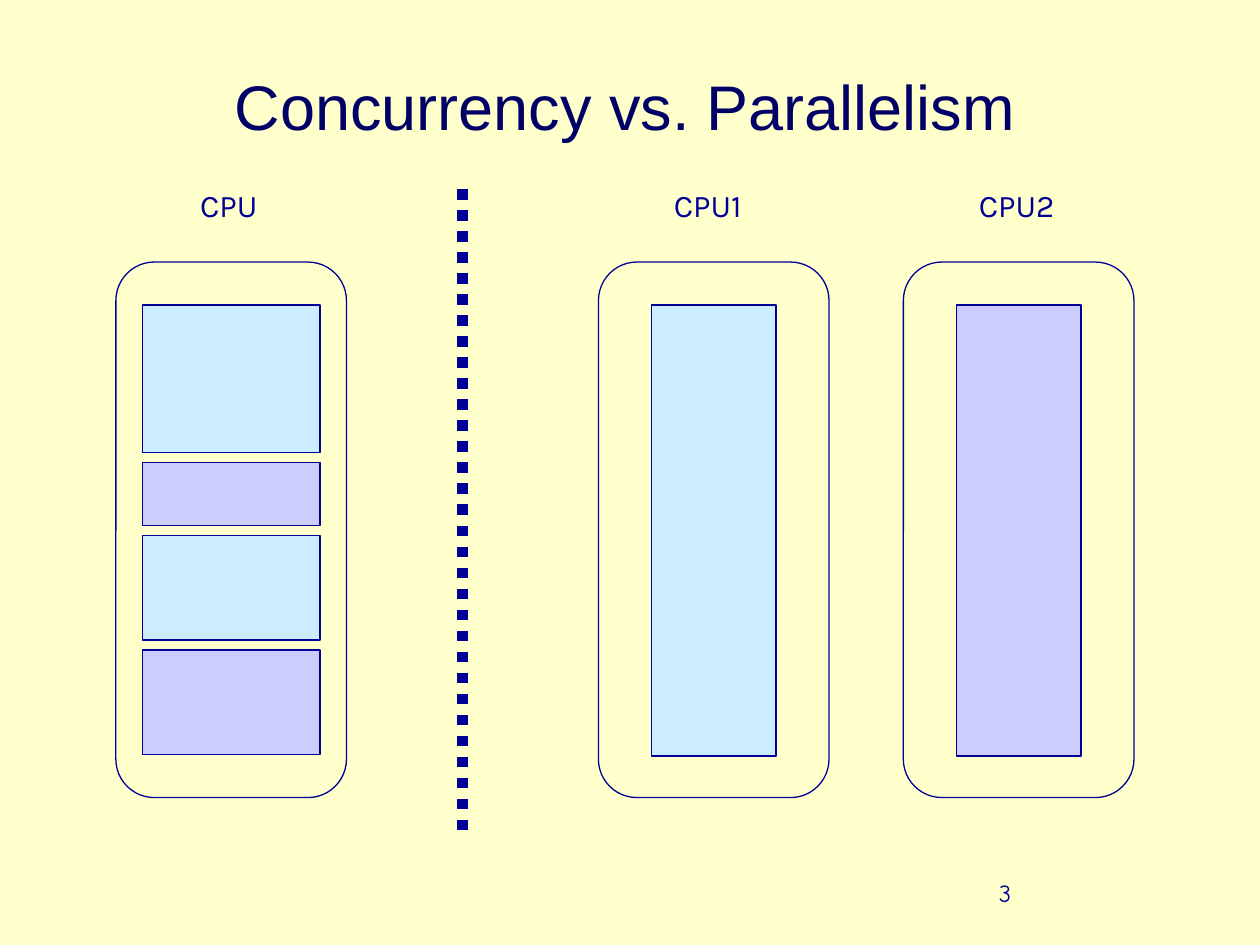
from lxml import etree
from pptx import Presentation
from pptx.dml.color import RGBColor
from pptx.enum.dml import MSO_LINE
from pptx.enum.shapes import MSO_CONNECTOR, MSO_SHAPE
from pptx.enum.text import MSO_ANCHOR, MSO_AUTO_SIZE, PP_ALIGN
from pptx.oxml.ns import qn
from pptx.util import Inches, Pt

RECT = MSO_SHAPE.RECTANGLE
ROUND = MSO_SHAPE.ROUNDED_RECTANGLE
STRAIGHT = MSO_CONNECTOR.STRAIGHT
DOT = MSO_LINE.ROUND_DOT
MIDDLE = MSO_ANCHOR.MIDDLE
CENTER = PP_ALIGN.CENTER
LEFT = PP_ALIGN.LEFT
FIXED = MSO_AUTO_SIZE.NONE
GROW = MSO_AUTO_SIZE.SHAPE_TO_FIT_TEXT

CREAM, NAVY, INK = "FFFFCC", "000066", "000099"
BLUE, LILAC = "CCECFF", "CCCCFF"
CORE_TOP, CORE_WIDTH, CORE_HEIGHT = 2.08, 1.83, 4.25
TASK_TOP, TASK_HEIGHT, TASK_GAP = 2.42, 3.58, 0.08


def color(code):
    return RGBColor.from_string(code)


class Deck:
    def __init__(self):
        self.file = Presentation()
        self.file.slide_width = Inches(10)
        self.file.slide_height = Inches(7.5)
        self.slide = self.file.slides.add_slide(self.file.slide_layouts[5])
        back = self.slide.background.fill
        back.solid()
        back.fore_color.rgb = color(CREAM)

    def style(self, frame, text, size, font, ink, align=LEFT):
        frame.text = text
        para = frame.paragraphs[0]
        para.alignment = align
        run = para.runs[0]
        run.font.size = Pt(size)
        run.font.name = font
        run.font.color.rgb = color(ink)

    def title(self, text, left, top, width, height):
        shape = self.slide.shapes.title
        shape.left, shape.top = Inches(left), Inches(top)
        shape.width, shape.height = Inches(width), Inches(height)
        frame = shape.text_frame
        self.style(frame, text, 36, "Arial", NAVY, CENTER)
        frame.paragraphs[0].line_spacing = 0.85
        frame.vertical_anchor = MIDDLE
        frame.auto_size = FIXED

    def label(self, text, left, top, width, height, size, font, wrap=False):
        box = self.slide.shapes.add_textbox(
            Inches(left), Inches(top), Inches(width), Inches(height))
        frame = box.text_frame
        frame.word_wrap = wrap
        frame.auto_size = FIXED if wrap else GROW
        self.style(frame, text, size, font, INK)

    def box(self, kind, left, top, width, height, fill):
        shape = self.slide.shapes.add_shape(
            kind, Inches(left), Inches(top), Inches(width), Inches(height))
        shape.shadow.inherit = False
        shape.fill.solid()
        shape.fill.fore_color.rgb = color(fill)
        shape.line.color.rgb = color(INK)
        shape.line.width = Pt(0.75)

    def core(self, name, left, text_left, text_width, inset, tasks):
        self.box(ROUND, left, CORE_TOP, CORE_WIDTH, CORE_HEIGHT, CREAM)
        top = TASK_TOP
        for height, fill in tasks:
            self.box(RECT, left + inset, top, CORE_WIDTH - 2 * inset, height, fill)
            top += height + TASK_GAP
        self.label(name, text_left, 1.43, text_width, 0.4, 18, "Karla")

    def divide(self, x, top, bottom):
        line = self.slide.shapes.add_connector(
            STRAIGHT, Inches(x), Inches(top), Inches(x), Inches(bottom))
        line.line.color.rgb = color(INK)
        line.line.width = Pt(6)
        line.line.dash_style = DOT
        etree.SubElement(line._element.spPr, qn("a:effectLst"))


def main():
    deck = Deck()
    deck.title("Concurrency vs. Parallelism", 1, 0.42, 7.92, 0.92)
    shared = [(1.17, BLUE), (0.5, LILAC), (0.83, BLUE), (0.83, LILAC)]
    deck.core("CPU", 0.92, 1.49, 0.69, 0.21, shared)
    deck.core("CPU1", 4.75, 5.25, 0.83, 0.42, [(TASK_HEIGHT, BLUE)])
    deck.core("CPU2", 7.17, 7.67, 0.83, 0.42, [(TASK_HEIGHT, LILAC)])
    deck.divide(3.67, 1.5, 6.67)
    deck.label("3", 7.83, 6.92, 2.08, 0.5, 14, "Comic Neue", wrap=True)
    deck.file.save("out.pptx")


if __name__ == "__main__":
    main()
